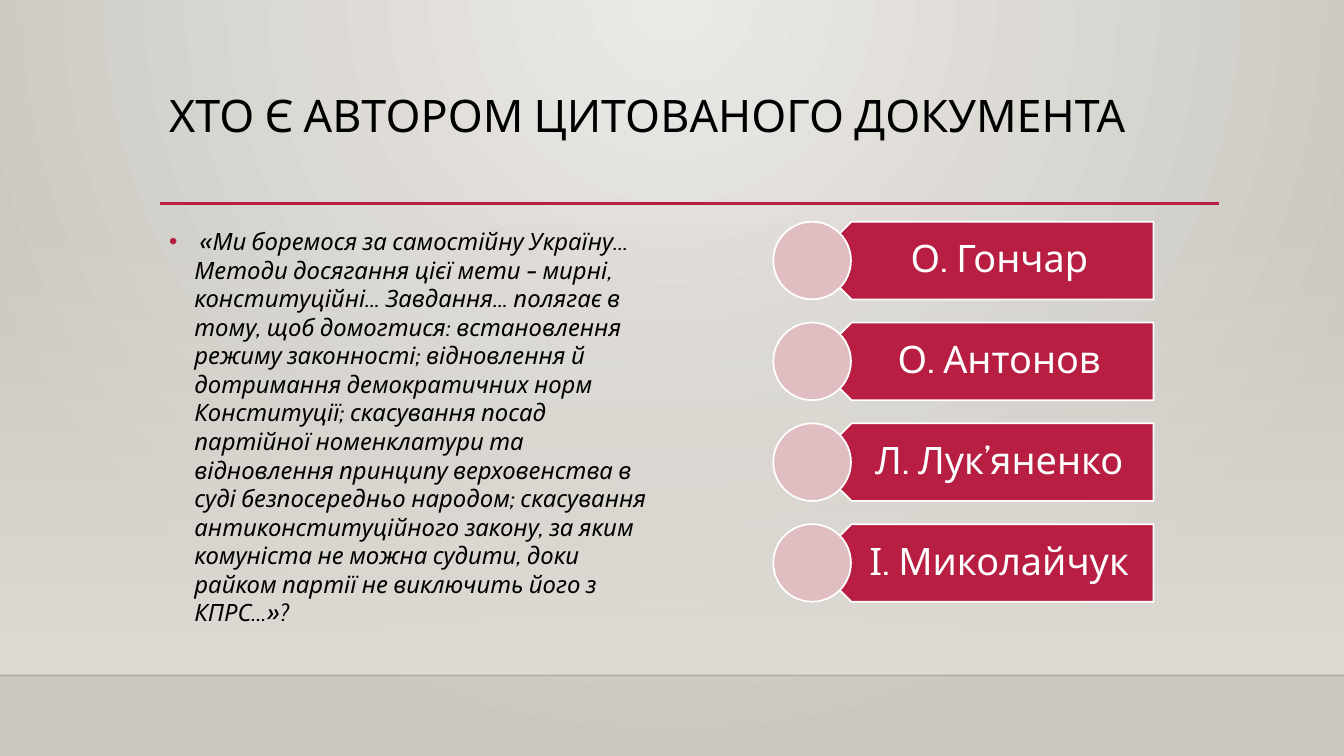
from pptx import Presentation
from pptx.dml.color import RGBColor
from pptx.enum.shapes import MSO_CONNECTOR, MSO_SHAPE
from pptx.enum.text import MSO_ANCHOR, PP_ALIGN
from pptx.oxml.ns import qn
from pptx.util import Inches, Pt
from lxml import etree

CRIMSON = RGBColor(0xB7, 0x1E, 0x42)
PINK = RGBColor(0xDF, 0xBD, 0xC0)
WHITE = RGBColor(0xFF, 0xFF, 0xFF)
BLACK = RGBColor(0x00, 0x00, 0x00)
FLOOR_LINE = RGBColor(0x00, 0x00, 0x01)
SAND = RGBColor(0xDF, 0xDB, 0xD5)
GLOW = RGBColor(0xEC, 0xEA, 0xE7)
EDGE = RGBColor(0xCA, 0xC7, 0xC1)

QUOTE = (
    " «Ми боремося за самостійну Україну... Методи досягання цієї мети – мирні, "
    "конституційні... Завдання... полягає в тому, щоб домогтися: встановлення режиму "
    "законності; відновлення й дотримання демократичних норм Конституції; скасування "
    "посад партійної номенклатури та відновлення принципу верховенства в суді "
    "безпосередньо народом; скасування антиконституційного закону, за яким комуніста "
    "не можна судити, доки райком партії не виключить його з КПРС…»?"
)
ANSWERS = ["О. Гончар", "О. Антонов", "Л. Лук’яненко", "І. Миколайчук"]

prs = Presentation()
prs.slide_width, prs.slide_height = Inches(13.33), Inches(7.5)
s = prs.slides.add_slide(prs.slide_layouts[6])


def add_text(x, y, w, h, text, size, color, spacing):
    tf = s.shapes.add_textbox(Inches(x), Inches(y), Inches(w), Inches(h)).text_frame
    tf.word_wrap = True
    p = tf.paragraphs[0]
    p.line_spacing = spacing
    r = p.add_run()
    r.text = text
    r.font.name, r.font.size = "Cabin", Pt(size)
    r.font.color.rgb = color
    return tf, p, r


def add_shape(kind, x, y, w, h, color):
    sp = s.shapes.add_shape(kind, Inches(x), Inches(y), Inches(w), Inches(h))
    sp.shadow.inherit = False
    sp.fill.solid()
    sp.fill.fore_color.rgb = color
    sp.line.color.rgb = WHITE
    sp.line.width = Pt(1.25)
    return sp


# Background: glow from the top centre
fill = s.background.fill
fill.gradient()
for stop, color in zip(fill.gradient_stops, (GLOW, EDGE)):
    stop.color.rgb = color
grad = s.element.find(".//" + qn("a:gradFill"))
grad.remove(grad.find(qn("a:lin")))
circle = etree.SubElement(grad, qn("a:path"), path="circle")
etree.SubElement(circle, qn("a:fillToRect"), l="43000", t="0", r="43000", b="100000")

# Wall: sand colour fading in downwards
wall = add_shape(MSO_SHAPE.RECTANGLE, 0, 2.21, 13.33, 4.49, SAND)
wall.line.fill.background()
wall.fill.gradient()
wall.fill.gradient_angle = 270
for stop in wall.fill.gradient_stops:
    stop.color.rgb = SAND
first_color = wall.element.find(".//" + qn("a:gs")).find(qn("a:srgbClr"))
etree.SubElement(first_color, qn("a:alpha"), val="0")

# Floor line and title rule
for x1, x2, y, color, width, opacity in (
    (0, 13.33, 6.7, FLOOR_LINE, 1, 20),
    (1.59, 12.09, 2.02, CRIMSON, 2.5, 100),
):
    rule = s.shapes.add_connector(
        MSO_CONNECTOR.STRAIGHT, Inches(x1), Inches(y), Inches(x2), Inches(y))
    rule.line.color.rgb = color
    rule.line.width = Pt(width)
    if opacity < 100:
        rgb = rule.element.find(".//" + qn("a:srgbClr"))
        etree.SubElement(rgb, qn("a:alpha"), val=str(opacity * 1000))
    etree.SubElement(rule.element.spPr, qn("a:effectLst"))

# Title
add_text(1.58, 0.88, 10.5, 1.16, "ХТО Є АВТОРОМ ЦИТОВАНОГО ДОКУМЕНТА", 32, BLACK, 0.9)

# Quotation with a crimson bullet
tf, p, r = add_text(1.58, 2.2, 5.08, 3.77, QUOTE, 17, BLACK, 1.0)
r.font.italic = True
pPr = p._p.get_or_add_pPr()
pPr.set("marL", str(Inches(0.25)))
pPr.set("indent", str(-Inches(0.25)))
bullet_color = etree.SubElement(pPr, qn("a:buClr"))
etree.SubElement(bullet_color, qn("a:srgbClr"), val=str(CRIMSON))
etree.SubElement(pPr, qn("a:buFont"), typeface="Arial")
etree.SubElement(pPr, qn("a:buChar"), char="•")

# Answer options: arrow pointing left, name, circle over the tip
SIZE = 0.77
for i, answer in enumerate(ANSWERS):
    y = 2.2 + i
    arrow = add_shape(MSO_SHAPE.PENTAGON, 8.06, y, 3.38, SIZE, CRIMSON)
    arrow.rotation = 180
    tf, p, r = add_text(8.25, y, 3.19, SIZE, answer, 27, WHITE, 0.9)
    tf.vertical_anchor = MSO_ANCHOR.MIDDLE
    tf.margin_left, tf.margin_right = Inches(0.34), Inches(0.21)
    tf.margin_top = tf.margin_bottom = Inches(0.11)
    p.alignment = PP_ALIGN.CENTER
    add_shape(MSO_SHAPE.OVAL, 7.67, y, SIZE, SIZE, PINK)

prs.save("out.pptx")
